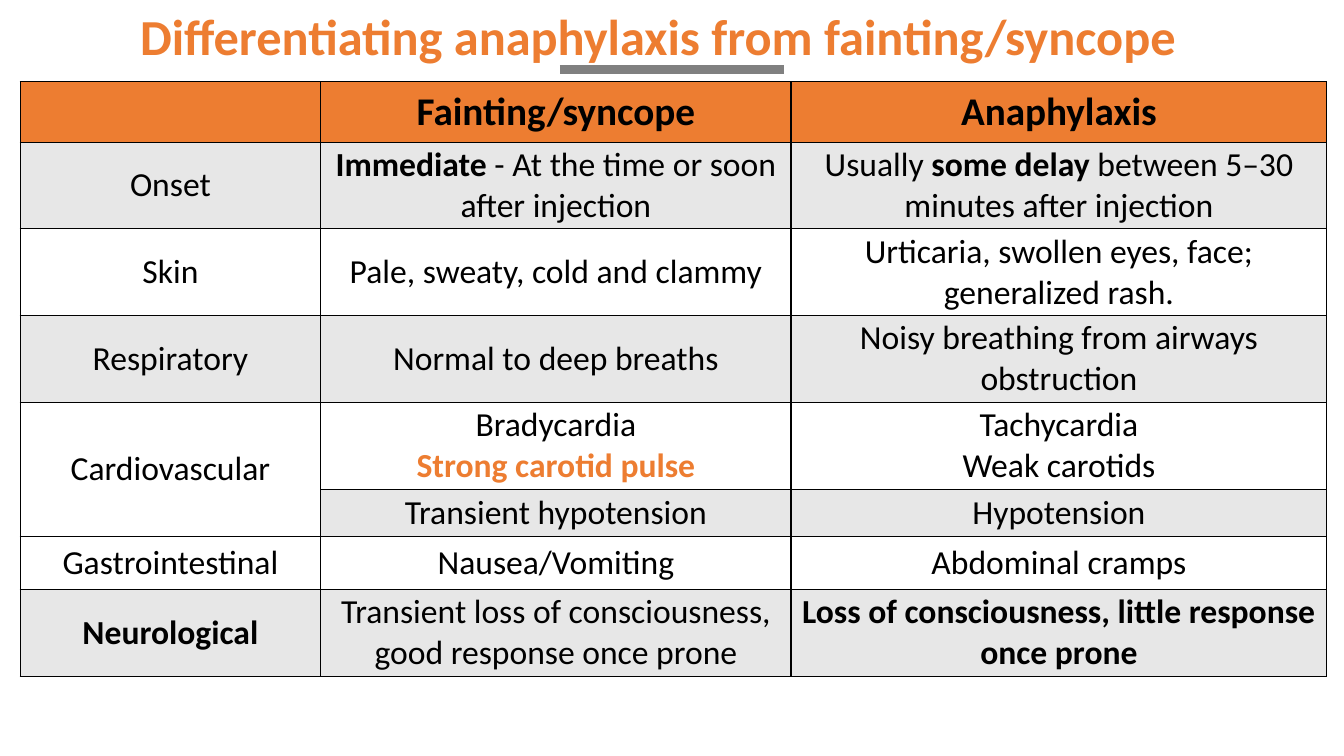
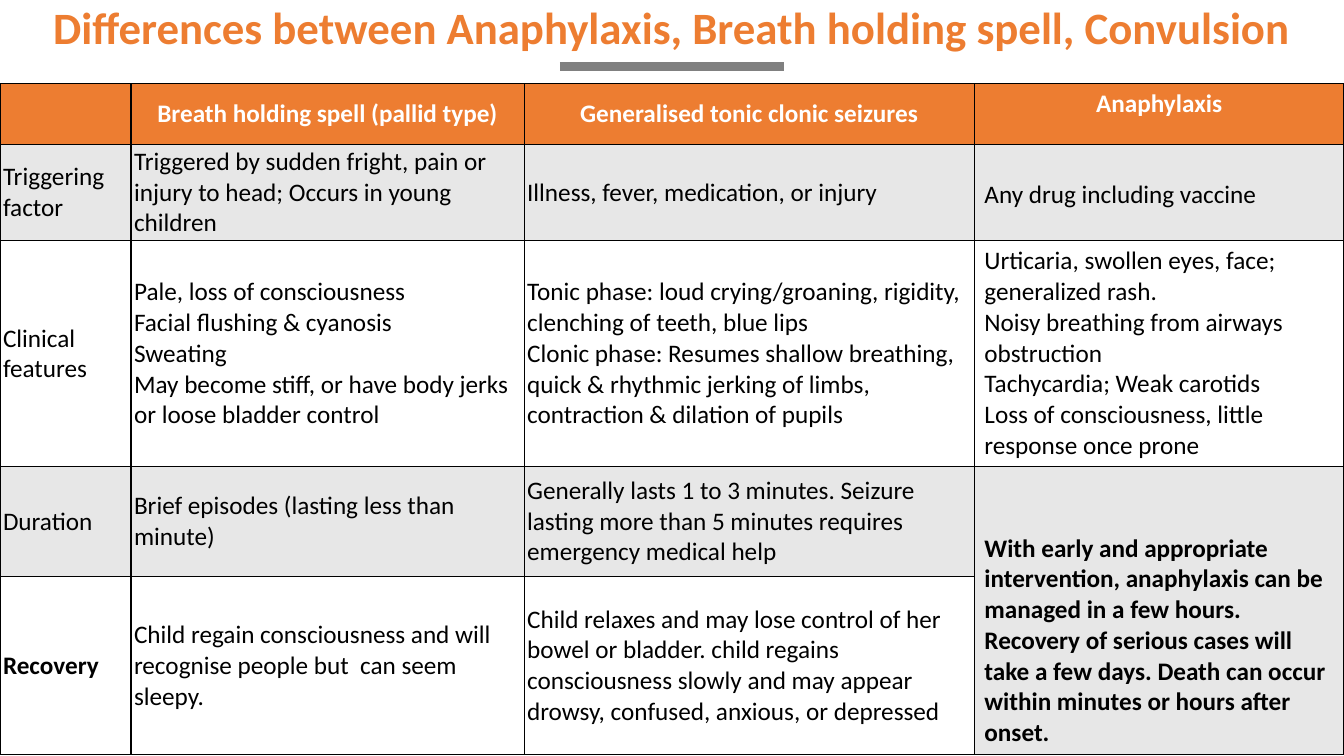
from lxml import etree
from pptx import Presentation
from pptx.dml.color import RGBColor
from pptx.enum.shapes import MSO_CONNECTOR
from pptx.enum.text import MSO_ANCHOR, PP_ALIGN
from pptx.oxml.ns import qn
from pptx.util import Inches, Pt

MID, TOP = MSO_ANCHOR.MIDDLE, MSO_ANCHOR.TOP
LEFT, CENTER = PP_ALIGN.LEFT, PP_ALIGN.CENTER
STRAIGHT = MSO_CONNECTOR.STRAIGHT

WIDE, HIGH = 13.33, 7.5
FONT = "Calibri"
HUES = {"orange": "ED7D31", "band": "E7E7E7", "white": "FFFFFF",
        "black": "000000", "rule": "808080"}
TIGHT = (0.03, 0.02)
LOOSE = (0.1, 0.05)

# Text between asterisks is bold; None joins a cell to the one above.
FAINT = [
    ["", "*Fainting/syncope*", "*Anaphylaxis*"],
    ["Onset", "*Immediate* - At the time or soon after injection",
     "Usually *some delay* between 5–30 minutes after injection"],
    ["Skin", "Pale, sweaty, cold and clammy",
     "Urticaria, swollen eyes, face; generalized rash."],
    ["Respiratory", "Normal to deep breaths",
     "Noisy breathing from airways obstruction"],
    ["Cardiovascular", "Bradycardia\n*Strong carotid pulse*",
     "Tachycardia\nWeak carotids"],
    [None, "Transient hypotension", "Hypotension"],
    ["Gastrointestinal", "Nausea/Vomiting", "Abdominal cramps"],
    ["*Neurological*",
     "Transient loss of consciousness, good response once prone",
     "*Loss of consciousness, little response once prone*"],
]

SPELL = [
    ["", "*Breath holding spell (pallid type)*",
     "*Generalised tonic clonic seizures*", "*Anaphylaxis*"],
    ["Triggering factor",
     "Triggered by sudden fright, pain or injury to head; "
     "Occurs in young children",
     "Illness, fever, medication, or injury",
     "Any drug including vaccine"],
    ["Clinical features",
     "Pale, loss of consciousness\nFacial flushing & cyanosis\nSweating\n"
     "May become stiff, or have body jerks or loose bladder control",
     "Tonic phase: loud crying/groaning, rigidity, clenching of teeth, "
     "blue lips\n"
     "Clonic phase: Resumes shallow breathing, quick & rhythmic jerking of "
     "limbs, contraction & dilation of pupils",
     "Urticaria, swollen eyes, face; generalized rash.\n"
     "Noisy breathing from airways obstruction\n"
     "Tachycardia; Weak carotids\n"
     "Loss of consciousness, little response once prone"],
    ["Duration", "Brief episodes (lasting less than minute)",
     "Generally lasts 1 to 3 minutes. Seizure lasting more than 5 minutes "
     "requires emergency medical help",
     "*With early and appropriate intervention, anaphylaxis can be managed "
     "in a few hours. Recovery of serious cases will take a few days. Death "
     "can occur within minutes or hours after onset.*"],
    ["*Recovery*",
     "Child regain consciousness and will recognise people but  can seem "
     "sleepy.",
     "Child relaxes and may lose control of her bowel or bladder. child "
     "regains consciousness slowly and may appear drowsy, confused, "
     "anxious, or depressed", None],
]


def tint(name):
    return RGBColor.from_string(HUES[name])


def style(para, size, hue, align):
    para.alignment = align
    para.font.name = FONT
    para.font.size = Pt(size)
    para.font.color.rgb = tint(hue)


def write(frame, text, size, hue, align):
    """Fill a frame, one paragraph per line, with *bold* parts."""
    for i, line in enumerate(text.split("\n")):
        para = frame.add_paragraph() if i else frame.paragraphs[0]
        style(para, size, hue, align)
        parts = [(part, n % 2 == 1)
                 for n, part in enumerate(line.split("*")) if part]
        for part, bold in parts:
            run = para.add_run()
            run.text = part
            if len(parts) > 1:
                run.font.bold = bold
        para.font.bold = len(parts) == 1 and parts[0][1]


def inset(cell, side, top):
    cell.margin_left = cell.margin_right = Inches(side)
    cell.margin_top = cell.margin_bottom = Inches(top)


def frame(cell):
    """Draw a thin black border on all four sides of a cell."""
    props = cell._tc.get_or_add_tcPr()
    for side in "LRTB":
        line = etree.SubElement(props, qn(f"a:ln{side}"), w=str(Pt(1)))
        fill = etree.SubElement(line, qn("a:solidFill"))
        etree.SubElement(fill, qn("a:srgbClr"), val=HUES["black"])


def shade(row):
    if row == 0:
        return "orange"
    return "band" if row % 2 else "white"


def split(lines, shares, total, field):
    """Divide a total length among columns or rows by their shares."""
    for line, share in zip(lines, shares):
        setattr(line, field, Inches(total * share / sum(shares)))


def grid(slide, data, box, cols, rows, size, head, align):
    """Add a table; head is the size and hue of its first row."""
    left, top, wide, high = box
    table = slide.shapes.add_table(
        len(rows), len(cols), *map(Inches, box)).table
    table.first_row = table.horz_banding = False
    split(table.columns, cols, wide, "width")
    split(table.rows, rows, high, "height")
    for r, line in enumerate(data):
        for c, text in enumerate(line):
            cell = table.cell(r, c)
            frame(cell)
            cell.fill.solid()
            cell.fill.fore_color.rgb = tint(shade(r))
            cell.vertical_anchor = MID
            inset(cell, *TIGHT)
            if text is None:
                table.cell(r - 1, c).merge(cell)
            elif r == 0:
                write(cell.text_frame, text, *head, CENTER)
            else:
                write(cell.text_frame, text, size, "black", align)
    return table


def title(slide, text, size, mid, axis):
    """Add a title centred on the point (mid, axis)."""
    wide, high = WIDE * 0.96, 0.4
    box = slide.shapes.add_textbox(
        Inches(mid - wide / 2), Inches(axis - high / 2),
        Inches(wide), Inches(high))
    text_frame = box.text_frame
    text_frame.word_wrap = True
    text_frame.vertical_anchor = MID
    text_frame.margin_top = text_frame.margin_bottom = 0
    write(text_frame, f"*{text}*", size, "orange", CENTER)
    text_frame.paragraphs[0].line_spacing = 0.9


def rule(slide, y):
    """Add the short grey bar under a title."""
    line = slide.shapes.add_connector(
        STRAIGHT, Inches(WIDE * 5 / 12), Inches(y),
        Inches(WIDE * 7 / 12), Inches(y))
    line.line.color.rgb = tint("rule")
    line.line.width = Pt(6)
    etree.SubElement(line._element.spPr, qn("a:effectLst"))


def faint(slide):
    table = grid(slide, FAINT, (0.2, 0.81, 12.96, 5.9), (23, 36, 41),
                 (60, 86, 86, 86, 87, 46, 53, 86), 24, (28, "black"), CENTER)
    pulse = table.cell(4, 1).text_frame.paragraphs[1]
    pulse.font.color.rgb = tint("orange")
    title(slide, "Differentiating anaphylaxis from fainting/syncope",
          36, 6.53, 0.385)
    rule(slide, 0.69)


def spell(slide):
    title(slide,
          "Differences between Anaphylaxis, Breath holding spell, Convulsion",
          32, WIDE / 2, 0.3)
    table = grid(slide, SPELL, (0, 0.83, WIDE, 6.66),
                 (9.75, 29.25, 33.5, 27.5), (60, 96, 224, 109, 177),
                 18, (18, "white"), LEFT)
    for r, drop in enumerate((0, 0.3, 0, 0.61)):
        cell = table.cell(r, 3)
        inset(cell, *LOOSE)
        cell.margin_top = Inches(LOOSE[1] + drop)
        cell.vertical_anchor = TOP
    rule(slide, 0.66)


def main():
    deck = Presentation()
    deck.slide_width, deck.slide_height = Inches(WIDE), Inches(HIGH)
    for build in (faint, spell):
        build(deck.slides.add_slide(deck.slide_layouts[6]))
    deck.save("out.pptx")


if __name__ == "__main__":
    main()
